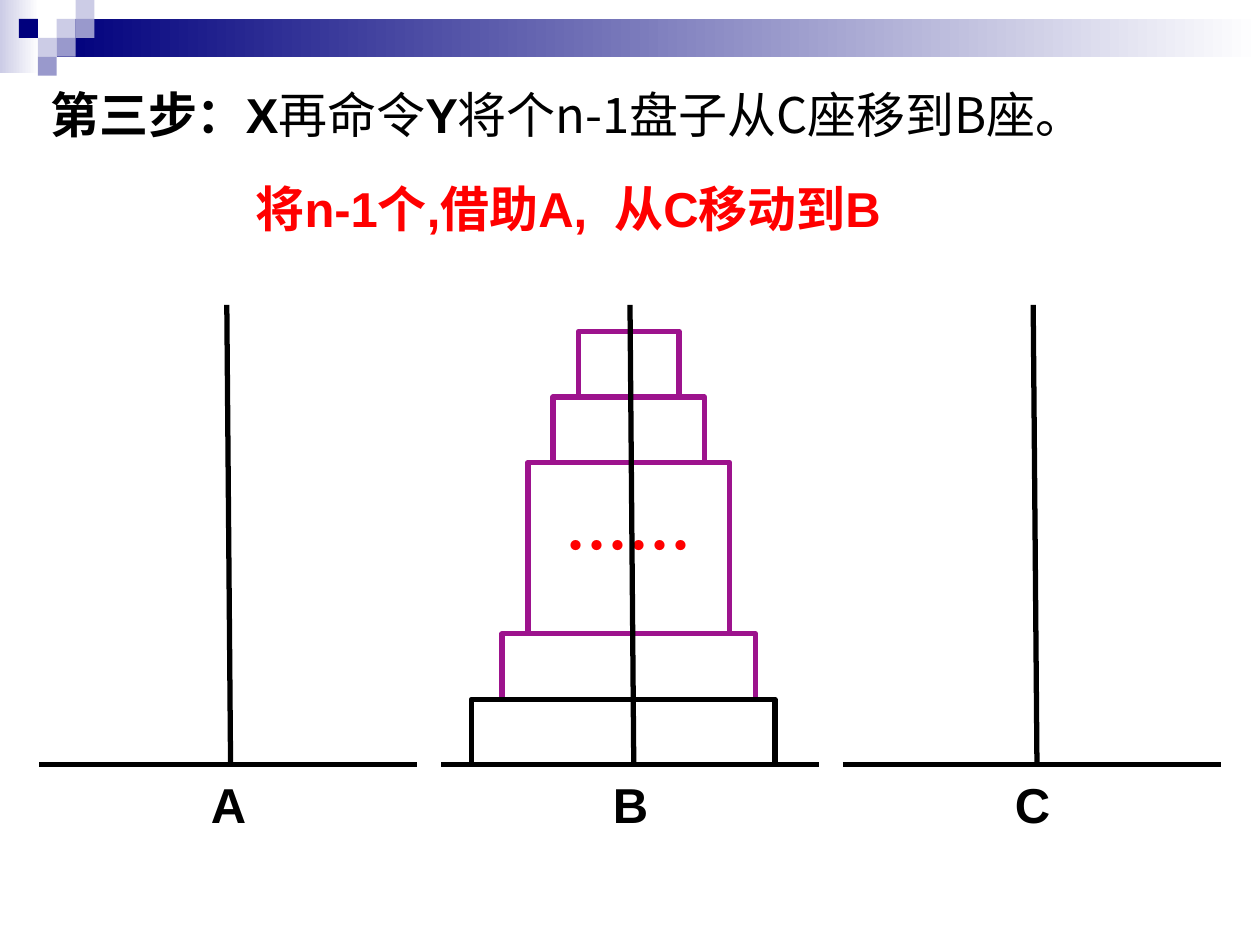
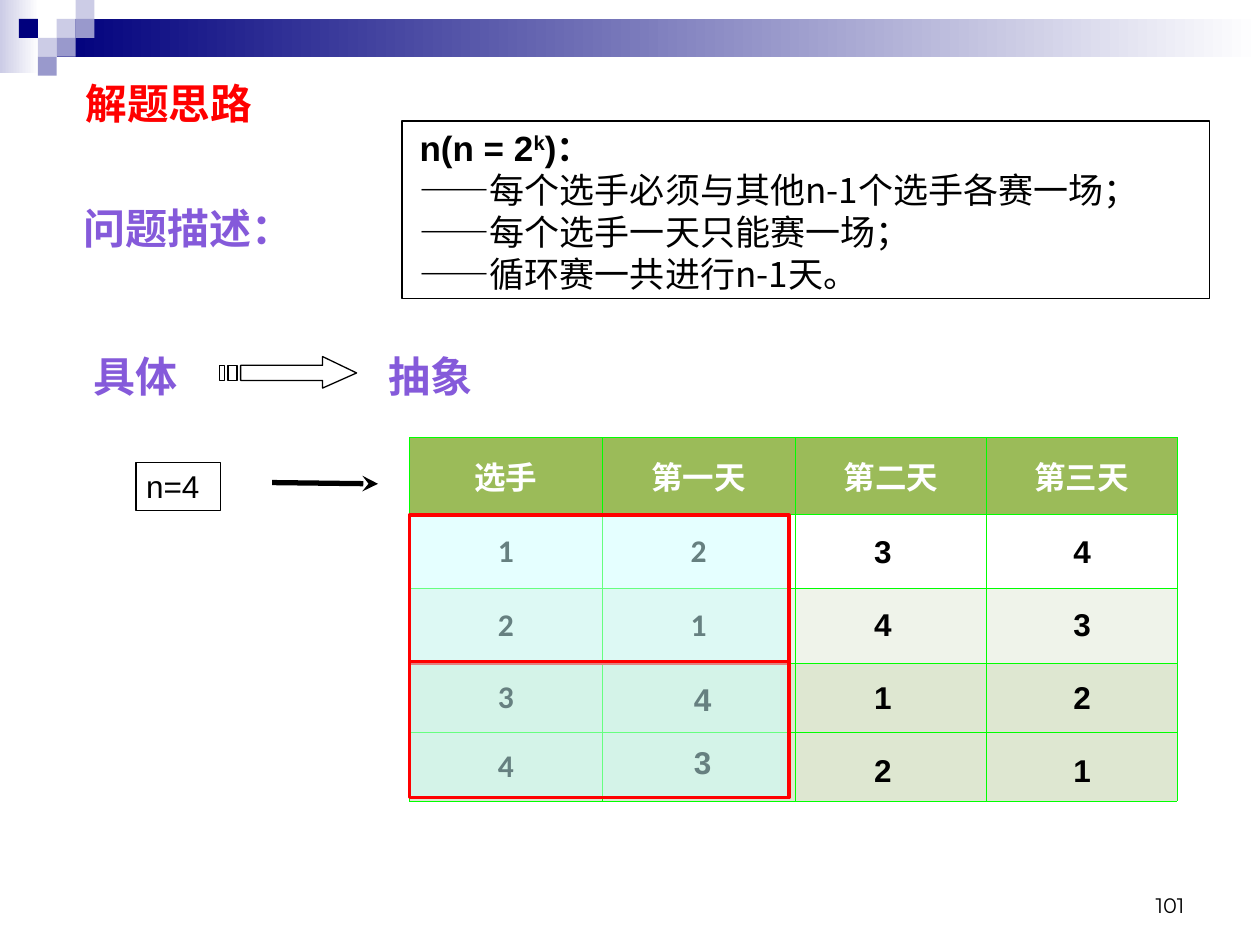
"""Build two algorithm slides: a Hanoi tower step and a round-robin schedule."""
from lxml import etree
from pptx import Presentation
from pptx import util as u
from pptx.dml.color import RGBColor
from pptx.enum import shapes, text
from pptx.oxml.ns import qn

BLACK = RGBColor(0x00, 0x00, 0x00)
WHITE = RGBColor(0xFF, 0xFF, 0xFF)
RED = RGBColor(0xFF, 0x00, 0x00)
NAVY = RGBColor(0x00, 0x00, 0x7D)
LAVENDER = RGBColor(0xCC, 0xCC, 0xE6)
PERIWINKLE = RGBColor(0x99, 0x99, 0xCC)
PURPLE = RGBColor(0x9D, 0x13, 0x8D)
VIOLET = RGBColor(0x85, 0x5A, 0xDA)
CYAN = RGBColor(0xCC, 0xFF, 0xFF)
OLIVE = RGBColor(0x9B, 0xBB, 0x59)
PALE = RGBColor(0xEF, 0xF3, 0xEA)
SAGE = RGBColor(0xDE, 0xE7, 0xD1)
LATIN, CJK, TABLE_FONT, NUMBER_FONT = "Arial", "Noto Sans CJK SC", "Calibri", "Montserrat"
RECT = shapes.MSO_SHAPE.RECTANGLE
DISC = shapes.MSO_SHAPE.FLOWCHART_PROCESS
LEFT, CENTER, RIGHT = text.PP_ALIGN.LEFT, text.PP_ALIGN.CENTER, text.PP_ALIGN.RIGHT
TOP, MIDDLE, BOTTOM = text.MSO_ANCHOR.TOP, text.MSO_ANCHOR.MIDDLE, text.MSO_ANCHOR.BOTTOM
WIDE, TIGHT = (0.1, 0.05, 0.1, 0.05), (0.08, 0.04, 0.08, 0.04)


def inches(values):
    return [u.Inches(value) for value in values]


def style_span(span, size, color, bold=True, font=LATIN):
    span.font.size = u.Pt(size)
    span.font.bold = bold
    span.font.name = font
    span.font.color.rgb = color
    etree.SubElement(span._r.get_or_add_rPr(), qn("a:ea"), typeface=CJK)


def fill_paragraph(para, spans, size, color, align=LEFT):
    """Write (text, bold, font) spans into a paragraph."""
    para.alignment = align
    for words, bold, font in spans:
        span = para.add_run()
        span.text = words
        style_span(span, size, color, bold, font)


def set_indent(para, margin, first):
    properties = para._p.get_or_add_pPr()
    properties.set("marL", str(u.Inches(margin)))
    properties.set("indent", str(u.Inches(first)))


def set_frame(shape, insets=WIDE, anchor=TOP, wrap=True):
    frame = shape.text_frame
    frame.word_wrap = wrap
    frame.vertical_anchor = anchor
    (frame.margin_left, frame.margin_top,
     frame.margin_right, frame.margin_bottom) = inches(insets)
    return frame


def add_text(page, at, words, size, color, align=LEFT, bold=True, font=LATIN, **frame_options):
    """Add a one-paragraph text box and return its paragraph."""
    box = page.shapes.add_textbox(*inches(at))
    para = set_frame(box, **frame_options).paragraphs[0]
    spans = [(words, bold, font)] if isinstance(words, str) else words
    fill_paragraph(para, spans, size, color, align)
    return para


def add_hanging_text(page, at, words, color, insets=WIDE):
    """Add a centred 28-point text with fixed line height."""
    para = add_text(page, at, words, 28, color, CENTER, insets=insets)
    set_indent(para, 0.38, -0.38)
    para.line_spacing = u.Pt(24)
    para.space_before = u.Pt(7)
    return para


def paint(shape, fill=None, line=None, width=0.75, alpha=None):
    """Set fill, outline and transparency, and drop the shadow."""
    shape.shadow.inherit = False
    if fill is None:
        shape.fill.background()
    else:
        shape.fill.solid()
        shape.fill.fore_color.rgb = fill
    if alpha:
        color = shape._element.spPr.find(qn("a:solidFill"))[0]
        etree.SubElement(color, qn("a:alpha"), val=str(alpha * 1000))
    if line is None:
        shape.line.fill.background()
    else:
        shape.line.color.rgb = line
        shape.line.width = u.Pt(width)
    return shape


def add_block(page, at, kind=RECT, **look):
    return paint(page.shapes.add_shape(kind, *inches(at)), **look)


def add_gradient(page, at, start):
    """Add a rectangle that fades to white from left to right."""
    block = add_block(page, at)
    block.fill.gradient()
    block.fill.gradient_angle = 0
    for stop, color in zip(block.fill.gradient_stops, (start, WHITE)):
        stop.color.rgb = color
    block.fill.gradient_stops[0].position = 0
    block.fill.gradient_stops[1].position = 1


def add_line(page, *ends, arrow=False):
    line = page.shapes.add_connector(shapes.MSO_CONNECTOR.STRAIGHT, *inches(ends))
    line.line.color.rgb = BLACK
    line.line.width = u.Pt(3)
    properties = line._element.spPr
    if arrow:
        etree.SubElement(properties.find(qn("a:ln")), qn("a:tailEnd"), type="stealth")
    etree.SubElement(properties, qn("a:effectLst"))


def add_header(page):
    """Draw the gradient band and the checkered corner."""
    add_gradient(page, (0, 0, 0.31, 0.58), LAVENDER)
    add_gradient(page, (0.45, 0.15, 9.55, 0.3), NAVY)
    unit = 0.15
    squares = [(3, 1, LAVENDER), (4, 0, LAVENDER), (4, 1, PERIWINKLE), (2, 2, LAVENDER),
               (1, 1, NAVY), (3, 2, PERIWINKLE), (2, 3, PERIWINKLE)]
    for column, row, color in squares:
        add_block(page, (column * unit, row * unit, unit, unit), fill=color)


def add_tower(page):
    """Stack the discs of the middle peg from top to bottom."""
    top = 2.63
    for width, height in [(0.8, 0.52), (1.2, 0.52), (1.6, 1.36), (2.01, 0.52)]:
        disc = add_block(page, (4.99 - width / 2, top, width, height), DISC,
                         line=PURPLE, width=3)
        if height > 1:
            frame = set_frame(disc, (0.1, 0.35, 0.1, 0.12), wrap=False)
            fill_paragraph(frame.paragraphs[0], [("……", True, CJK)], 36, RED, CENTER)
        top += height
    add_block(page, (3.74, 5.55, 2.41, 0.52), DISC, line=BLACK, width=3)


def add_pegs(page):
    for number, name in enumerate("ABC"):
        left = 0.31 + number * 3.19
        add_line(page, left, 6.07, left + 3, 6.07)
        add_line(page, 1.83 + number * 3.2, 6.07, 1.8 + number * 3.2, 2.42)
        add_hanging_text(page, (left + 1.12, 6.23, 0.77, 0.49), name, BLACK)


def add_striped_arrow(page):
    """Draw a block arrow with two stripes behind it."""
    upper, lower = 2.9, 3.02
    head = [(2.56, 2.83), (2.56, upper), (1.91, upper), (1.91, lower),
            (2.56, lower), (2.56, 3.08), (2.83, 2.96)]
    stripes = [[(left, upper), (left, lower), (right, lower), (right, upper)]
               for left, right in ((1.81, 1.88), (1.74, 1.78))]
    builder = page.shapes.build_freeform(*inches(head[0]))
    builder.add_line_segments([inches(point) for point in head[1:]])
    for stripe in stripes:
        builder.move_to(*inches(stripe[0]))
        builder.add_line_segments([inches(point) for point in stripe[1:]])
    paint(builder.convert_to_shape(), fill=WHITE, line=BLACK, alpha=50)


def style_cell(cell, words, fill, color):
    properties = cell._tc.get_or_add_tcPr()
    for side in ("a:lnL", "a:lnR", "a:lnT", "a:lnB"):
        border = etree.SubElement(properties, qn(side), w="1400")
        solid = etree.SubElement(border, qn("a:solidFill"))
        etree.SubElement(solid, qn("a:srgbClr"), val="00FF00")
    if fill is None:
        cell.fill.background()
    else:
        cell.fill.solid()
        cell.fill.fore_color.rgb = fill
    cell.vertical_anchor = MIDDLE
    if words:
        para = cell.text_frame.paragraphs[0]
        fill_paragraph(para, [(words, True, TABLE_FONT)], 18, color, CENTER)
        para.space_before = u.Pt(4.5)


def add_schedule(page):
    """Add the match table."""
    rows = [(0.61, OLIVE, ["选手", "第一天", "第二天", "第三天"]),
            (0.59, None, ["1", "2", "", ""]),
            (0.59, PALE, ["2", "1", "", ""]),
            (0.55, SAGE, ["3", "", "", ""]),
            (0.55, SAGE, ["4", "", "", ""])]
    frame = page.shapes.add_table(len(rows), 4, *inches((3.25, 3.47, 6.1, 2.88)))
    table = frame.table
    table.first_row = table.horz_banding = False
    for column, width in zip(table.columns, (1.53, 1.53, 1.52, 1.51)):
        column.width = u.Inches(width)
    for row, (height, fill, words) in zip(table.rows, rows):
        row.height = u.Inches(height)
        for cell, word in zip(row.cells, words):
            style_cell(cell, word, fill, WHITE if fill == OLIVE else BLACK)


def add_digit(page, left, top, digit):
    add_text(page, (left, top, 0.34, 0.4), digit, 18, BLACK, wrap=False)


def add_answers(page):
    """Place the filled-in opponents and the two highlighted quarters."""
    add_digit(page, 5.41, 5.35, "4")
    add_digit(page, 5.41, 5.85, "3")
    for top, height in ((4.09, 1.17), (5.25, 1.08)):
        add_block(page, (3.25, top, 3.01, height), fill=CYAN, line=RED, width=2.25, alpha=50)
    for row, pair in enumerate(("34", "43", "12", "21")):
        for left, digit in zip((6.84, 8.42), pair):
            add_digit(page, left, 4.17 + row * 0.58, digit)


def add_rules(page):
    """Add the framed problem statement."""
    box = add_block(page, (3.19, 0.96, 6.41, 1.41), line=BLACK)
    frame = set_frame(box, (0.14, 0.04, 0.08, 0.04))
    para = frame.paragraphs[0]
    fill_paragraph(para, [(words, True, LATIN) for words in ("n(n = 2", "k", ")：")], 20, BLACK)
    para.runs[1]._r.get_or_add_rPr().set("baseline", "30000")
    for rule in ("每个选手必须与其他n-1个选手各赛一场；", "每个选手一天只能赛一场；",
                 "循环赛一共进行n-1天。"):
        fill_paragraph(frame.add_paragraph(), [("——" + rule, False, CJK)], 20, BLACK)


def build_hanoi(page):
    add_header(page)
    add_tower(page)
    add_pegs(page)
    move = [(words, True, LATIN) for words in ("将n-1个,借助A,", " ", "从C移动到B")]
    para = add_hanging_text(page, (1.58, 1.31, 5.86, 0.7), move, RED,
                            insets=(0.1, 0.24, 0.1, 0.05))
    para.runs[1]._r.get_or_add_rPr().set("spc", "780")
    title = [("第三步：X", True, LATIN), ("再命令", False, CJK), ("Y", True, LATIN),
             ("将个n-1盘子从C座移到B座。", False, CJK)]
    set_indent(add_text(page, (-0.2, 0.62, 10.12, 0.57), title, 28, BLACK), 0.5, 0)


def build_tournament(page):
    add_header(page)
    add_text(page, (7.17, 6.83, 2.33, 0.5), "101", 12, BLACK, RIGHT, False, NUMBER_FONT,
             anchor=BOTTOM)
    for left, top, width, words in ((0.58, 1.41, 8.85, "问题描述："),
                                    (0.66, 2.58, 1.09, "具体"), (3, 2.58, 1.09, "抽象")):
        para = add_text(page, (left, top, width, 0.64), words, 24, VIOLET, insets=TIGHT)
        para.line_spacing = 1.4
    case = add_block(page, (1.08, 3.67, 0.67, 0.38), line=BLACK)
    fill_paragraph(set_frame(case, TIGHT).paragraphs[0], [("n=4", False, LATIN)], 18, BLACK)
    add_striped_arrow(page)
    add_line(page, 2.16, 3.83, 3, 3.84, arrow=True)
    add_schedule(page)
    add_answers(page)
    add_text(page, (0.58, 0.55, 6.76, 0.53), "解题思路", 23.8, RED, anchor=MIDDLE)
    add_rules(page)


def main():
    deck = Presentation()
    deck.slide_width, deck.slide_height = inches((10, 7.5))
    for build in (build_hanoi, build_tournament):
        build(deck.slides.add_slide(deck.slide_layouts[6]))
    deck.save("out.pptx")


main()
